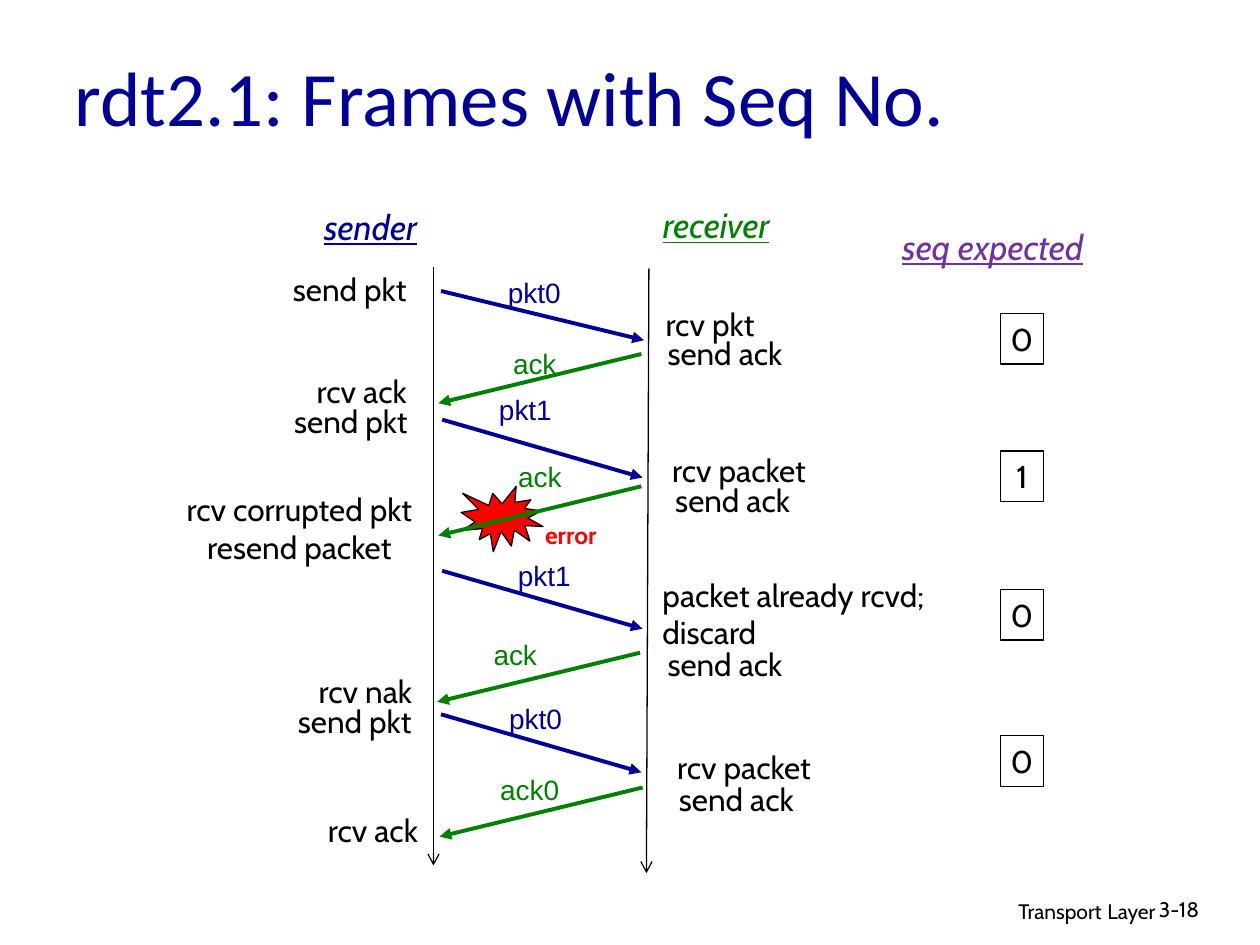
from dataclasses import dataclass

from lxml.etree import SubElement
from pptx import Presentation
from pptx.dml.color import RGBColor
from pptx.enum.shapes import MSO_CONNECTOR as Connector, MSO_SHAPE as Shape
from pptx.enum.text import MSO_ANCHOR as Anchor, PP_ALIGN as Align
from pptx.oxml.ns import qn
from pptx.util import Pt


@dataclass(frozen=True)
class Theme:
    """Colours, fonts and type sizes of the slide."""

    black: str = "000000"
    sender: str = "000099"
    receiver: str = "008000"
    expected: str = "7030A0"
    error: str = "FF0000"
    title_font: str = "Calibri"
    note_font: str = "Cabin"
    message_font: str = "Arial"
    title_size: int = 44
    heading_size: int = 20
    note_size: int = 18
    message_size: int = 16
    error_size: int = 14
    footer_size: int = 12


THEME = Theme()
NOTE_HEIGHT = 28.8
MESSAGE_HEIGHT = 26.6
GENTLE = (116, 28.1)
STEEP = (114.5, 33.1)

HEADINGS = [
    ("sender", 175, 113.8, 73.4, THEME.sender),
    ("receiver", 367.2, 113, 84.2, THEME.receiver),
    ("seq expected", 501.8, 125.3, 131, THEME.expected),
]
NOTES = [
    ("send pkt", 158.4, 150.5, 82.8),
    ("rcv ack", 171.4, 208.8, 70.6),
    ("send pkt", 159.1, 226.1, 82.8),
    ("rcv nak", 172.8, 380.2, 72),
    ("send pkt", 161.3, 397.4, 82.8),
    ("rcv ack", 177.8, 460.1, 70.6),
    ("rcv pkt", 371.5, 170.6, 68.4),
    ("send ack", 372.2, 187.2, 84.2),
    ("rcv packet", 374.4, 254.2, 95.8),
    ("send ack", 376.6, 271.4, 84.2),
    ("send ack", 372.2, 365, 84.2),
    ("rcv packet", 377.3, 424.1, 95.8),
    ("send ack", 378.7, 442.1, 84.2),
]
MESSAGES = [
    ("pkt0", 283, 154.1, 44.6, (252, 166.3), GENTLE),
    ("ack", 281.5, 194.4, 48.2, (366.5, 202.3), GENTLE),
    ("pkt1", 273.6, 221, 53.3, (252.7, 239.8), STEEP),
    ("ack", 284.4, 259.2, 48.2, (366.5, 277.9), GENTLE),
    ("pkt1", 284.4, 315.4, 53.3, (252.7, 326.2), STEEP),
    ("ack", 263.5, 360.7, 61.9, (365.8, 373), GENTLE),
    ("pkt0", 279.4, 397.4, 53.3, (252, 408.2), STEEP),
    ("ack0", 278.6, 437.8, 48.2, (367.2, 450), GENTLE),
]
EXPECTED = [("0", 179.3), ("1", 257.8), ("0", 337), ("0", 420.5)]
LIFELINES = [((247.7, 152.6), (247.7, 494.6)), ((370.8, 153.4), (369.4, 499))]


def colour(code):
    """Turn a hex code into a colour."""
    return RGBColor.from_string(code)


def add_run(paragraph, words, size, code=THEME.black, font=THEME.note_font):
    """Append a formatted run and return its font."""
    run = paragraph.add_run()
    run.text = words
    run.font.size = Pt(size)
    run.font.name = font
    run.font.color.rgb = colour(code)
    return run.font


def add_label(slide, box, words, size, code=THEME.black,
              font=THEME.note_font, align=Align.CENTER, wrap=False):
    """Add a one-line text box and return the font of its run."""
    frame = slide.shapes.add_textbox(*map(Pt, box)).text_frame
    frame.word_wrap = wrap
    frame.paragraphs[0].alignment = align
    return add_run(frame.paragraphs[0], words, size, code, font)


def add_note(slide, box, lines, align, wrap):
    """Add a side note of one paragraph per line."""
    frame = slide.shapes.add_textbox(*map(Pt, box)).text_frame
    frame.word_wrap = wrap
    for index, line in enumerate(lines):
        paragraph = frame.add_paragraph() if index else frame.paragraphs[0]
        paragraph.alignment = align
        add_run(paragraph, line, THEME.note_size)


def add_arrow(slide, start, end, code, weight, head):
    """Add a straight line with an arrowhead at its end."""
    arrow = slide.shapes.add_connector(
        Connector.STRAIGHT, *map(Pt, (*start, *end)))
    arrow.line.color.rgb = colour(code)
    arrow.line.width = Pt(weight)
    SubElement(arrow.line._get_or_add_ln(), qn("a:tailEnd"), type=head)
    SubElement(arrow._element.spPr, qn("a:effectLst"))


def add_message(slide, label, left, top, width, start, run):
    """Add a message arrow between the lifelines with its label."""
    from_sender = label.startswith("pkt")
    code = THEME.sender if from_sender else THEME.receiver
    across, drop = run
    end = (start[0] + (across if from_sender else -across), start[1] + drop)
    add_arrow(slide, start, end, code, 2.25, "triangle")
    add_label(slide, (left, top, width, MESSAGE_HEIGHT), label,
              THEME.message_size, code, THEME.message_font)


def add_outlined(slide, preset, box, fill=None):
    """Add a thinly outlined preset shape."""
    shape = slide.shapes.add_shape(preset, *map(Pt, box))
    shape.shadow.inherit = False
    shape.line.color.rgb = colour(THEME.black)
    shape.line.width = Pt(0.75)
    if fill:
        shape.fill.solid()
        shape.fill.fore_color.rgb = colour(fill)
    else:
        shape.fill.background()
    return shape


def add_expected(slide, number, top):
    """Add a boxed expected sequence number."""
    box = add_outlined(slide, Shape.RECTANGLE, (571.7, top, 24.5, NOTE_HEIGHT))
    frame = box.text_frame
    frame.word_wrap = False
    frame.paragraphs[0].alignment = Align.CENTER
    add_run(frame.paragraphs[0], number, THEME.note_size)


def add_title(slide, words):
    """Place and format the title."""
    title = slide.shapes.title
    title.left, title.top, title.width, title.height = map(
        Pt, (35.3, 14.4, 612, 80))
    title.text_frame.vertical_anchor = Anchor.MIDDLE
    paragraph = title.text_frame.paragraphs[0]
    paragraph.alignment = Align.LEFT
    add_run(paragraph, words, THEME.title_size, THEME.sender, THEME.title_font)


def add_footer(slide):
    """Add the chapter name and the page number."""
    frame = slide.shapes.add_textbox(*map(Pt, (439.2, 507.6, 228.2, 22.3))).text_frame
    frame.word_wrap = True
    chapter = frame.paragraphs[0]
    chapter.alignment = Align.RIGHT
    add_run(chapter, "Transport", THEME.footer_size)
    add_run(chapter, " ", THEME.error_size)
    add_run(chapter, "Layer", THEME.footer_size)
    add_label(slide, (655.2, 509, 53.3, 21.6), "3-18", THEME.footer_size,
              align=Align.LEFT, wrap=True)


def main():
    """Build the slide and save it."""
    deck = Presentation()
    deck.slide_width, deck.slide_height = Pt(720), Pt(540)
    slide = deck.slides.add_slide(deck.slide_layouts[5])
    add_title(slide, "rdt2.1: Frames with Seq No.")
    add_footer(slide)
    for words, left, top, width, code in HEADINGS:
        font = add_label(slide, (left, top, width, 31), words,
                         THEME.heading_size, code)
        font.italic = font.underline = True
    for words, left, top, width in NOTES:
        add_note(slide, (left, top, width, NOTE_HEIGHT), [words], Align.CENTER, False)
    add_note(slide, (95.8, 276.5, 150.5, 51.1),
             ["rcv corrupted pkt", "resend packet"], Align.CENTER, False)
    add_note(slide, (371.5, 325.4, 175, 51.1),
             ["packet already rcvd;", "discard"], Align.LEFT, True)
    for start, end in LIFELINES:
        add_arrow(slide, start, end, THEME.black, 0.75, "arrow")
    add_outlined(slide, Shape.EXPLOSION1, (263.5, 277.9, 46.8, 37.4), THEME.error)
    for message in MESSAGES:
        add_message(slide, *message)
    for number, top in EXPECTED:
        add_expected(slide, number, top)
    add_label(slide, (301, 293.8, 50.4, 24.5), "error",
              THEME.error_size, THEME.error).bold = True
    deck.save("out.pptx")


if __name__ == "__main__":
    main()
